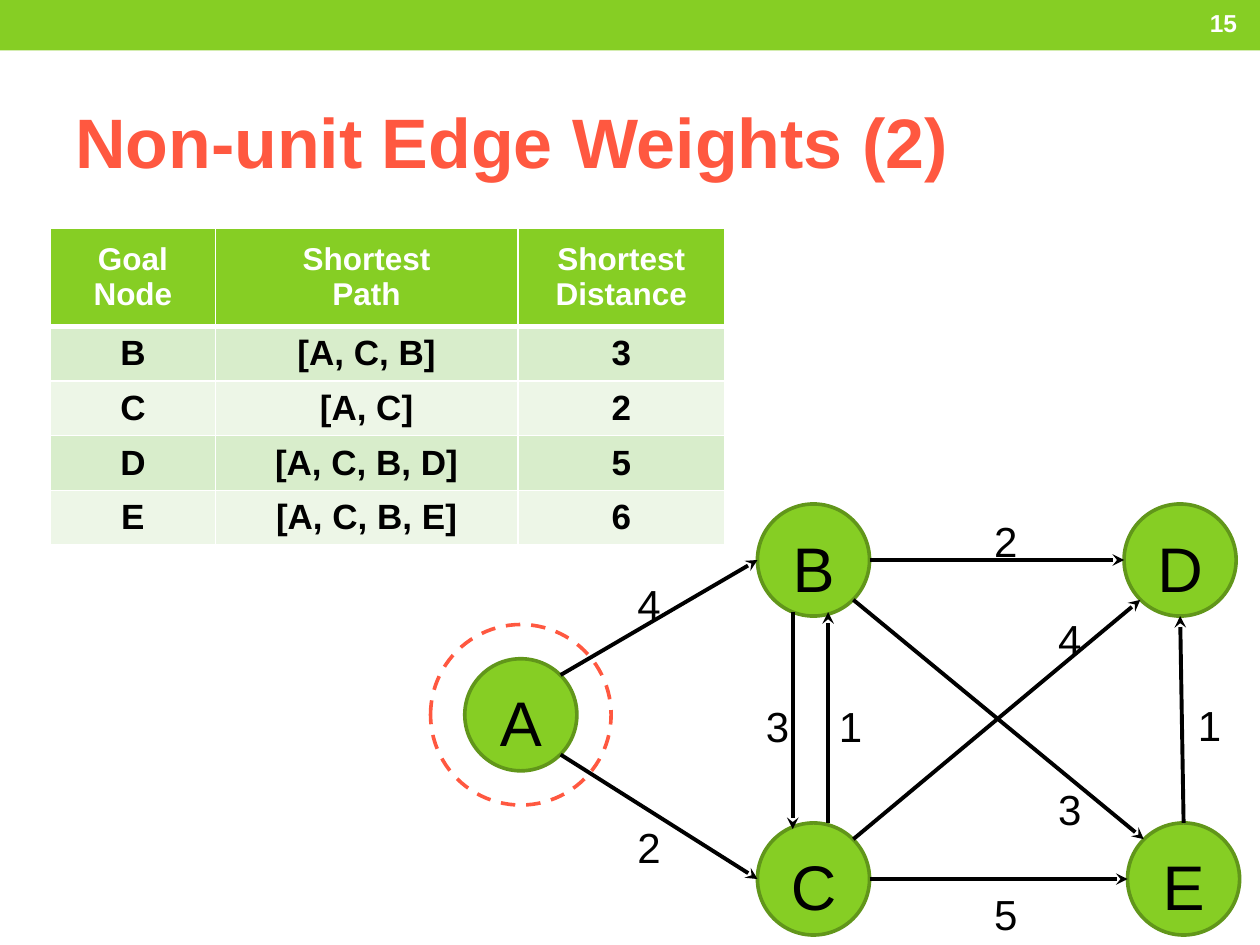
from dataclasses import dataclass
from enum import Enum
from typing import Optional

import pptx
import pptx.dml.color
import pptx.enum.dml
import pptx.enum.shapes
import pptx.enum.text
import pptx.oxml
import pptx.oxml.ns
import pptx.util

Cm = pptx.util.Cm
Pt = pptx.util.Pt
Align = pptx.enum.text.PP_ALIGN
Anchor = pptx.enum.text.MSO_ANCHOR
Shape = pptx.enum.shapes.MSO_SHAPE


@dataclass(frozen=True)
class Theme:
    font: str = "Arial"
    green: str = "86CE24"
    dark_green: str = "61961A"
    bands: tuple[str, str] = ("D8EDCB", "EDF6E7")
    accent: str = "FF5840"
    white: str = "FFFFFF"
    black: str = "000000"
    title_size: float = 40
    number_size: float = 14
    header_size: float = 18
    cell_size: float = 20
    node_size: float = 36
    weight_size: float = 24
    outline: float = 2.08
    edge: float = 2.25


THEME = Theme()
RADIUS = 1.13
HALO_RADIUS = 1.82


class Port(Enum):
    """Points on a node's rim, as multiples of its radius from the centre."""
    N = (0, -1)
    E = (1, 0)
    S = (0, 1)
    W = (-1, 0)
    NE = (0.71, -0.71)
    SE = (0.71, 0.71)
    SW = (-0.71, 0.71)
    NW = (-0.71, -0.71)
    SSW = (-0.37, 0.93)
    NNW = (-0.37, -0.89)
    SSE = (0.26, 0.93)
    NNE = (0.26, -1)


@dataclass(frozen=True)
class Node:
    name: str
    x: float
    y: float

    def rim(self, port: Port) -> tuple[Cm, Cm]:
        dx, dy = port.value
        return Cm(self.x + dx * RADIUS), Cm(self.y + dy * RADIUS)


@dataclass(frozen=True)
class Edge:
    start: Node
    leaves: Port
    end: Node
    enters: Port
    weight: str
    label_x: float
    label_y: float


A = Node("A", 10.5, 14.41)
B = Node("B", 16.4, 11.29)
C = Node("C", 16.4, 17.72)
D = Node("D", 23.79, 11.29)
E = Node("E", 23.86, 17.72)
NODES = (A, B, C, D, E)
EDGES = (
    Edge(A, Port.NE, B, Port.W, "4", 12.6, 11.53),
    Edge(A, Port.SE, C, Port.W, "2", 12.6, 16.43),
    Edge(B, Port.SSW, C, Port.NNW, "3", 15.19, 14),
    Edge(C, Port.NNE, B, Port.SSE, "1", 16.66, 14),
    Edge(B, Port.E, D, Port.W, "2", 19.79, 10.26),
    Edge(B, Port.SE, E, Port.NW, "3", 21.08, 15.67),
    Edge(E, Port.N, D, Port.S, "1", 23.9, 13.97),
    Edge(C, Port.E, E, Port.W, "5", 19.79, 17.78),
    Edge(C, Port.NE, D, Port.SW, "4", 21.08, 12.24),
)
PATH_ROWS = (
    ("Goal Node", "Shortest\nPath", "Shortest Distance"),
    ("B", "[A, C, B]", "3"),
    ("C", "[A, C]", "2"),
    ("D", "[A, C, B, D]", "5"),
    ("E", "[A, C, B, E]", "6"),
)
COLUMN_WIDTHS = (3.32, 6.1, 4.17)
HEADER_HEIGHT, ROW_HEIGHT = 1.98, 1.1


def rgb(value: str) -> pptx.dml.color.RGBColor:
    return pptx.dml.color.RGBColor.from_string(value)


def style_text(frame, size: float, color: str, bold: bool, align) -> None:
    for paragraph in frame.paragraphs:
        paragraph.alignment = align
        paragraph.font.name = THEME.font
        paragraph.font.size = Pt(size)
        paragraph.font.bold = bold
        paragraph.font.color.rgb = rgb(color)


def add_text(slide, text: str, left: float, top: float, width: float, height: float,
             size: float, color: str = THEME.black, bold: bool = False,
             align=Align.LEFT, anchor=Anchor.TOP) -> None:
    box = slide.shapes.add_textbox(Cm(left), Cm(top), Cm(width), Cm(height))
    frame = box.text_frame
    frame.word_wrap = True
    frame.vertical_anchor = anchor
    frame.text = text
    style_text(frame, size, color, bold, align)


def add_circle(slide, node: Node, radius: float, line: str, fill: Optional[str] = None):
    circle = slide.shapes.add_shape(Shape.OVAL, Cm(node.x - radius), Cm(node.y - radius),
                                    Cm(2 * radius), Cm(2 * radius))
    circle.shadow.inherit = False
    if fill:
        circle.fill.solid()
        circle.fill.fore_color.rgb = rgb(fill)
    else:
        circle.fill.background()
    circle.line.color.rgb = rgb(line)
    circle.line.width = Pt(THEME.outline)
    return circle


def add_node(slide, node: Node) -> None:
    add_circle(slide, node, RADIUS, THEME.dark_green, THEME.green)
    add_text(slide, node.name, node.x - 0.74, node.y - 0.75, 1.48, 1.48,
             THEME.node_size, align=Align.CENTER)


def add_edge(slide, edge: Edge) -> None:
    arrow = slide.shapes.add_connector(pptx.enum.shapes.MSO_CONNECTOR.STRAIGHT,
                                       *edge.start.rim(edge.leaves), *edge.end.rim(edge.enters))
    arrow.line.color.rgb = rgb(THEME.black)
    arrow.line.width = Pt(THEME.edge)
    head = pptx.oxml.parse_xml(f'<a:tailEnd {pptx.oxml.ns.nsdecls("a")} type="stealth"/>')
    arrow.line._get_or_add_ln().append(head)
    no_effects = pptx.oxml.parse_xml(f'<a:effectLst {pptx.oxml.ns.nsdecls("a")}/>')
    arrow._element.spPr.append(no_effects)
    add_text(slide, edge.weight, edge.label_x, edge.label_y, 0.69, 1.04, THEME.weight_size)


def add_borders(cell, top: float, bottom: float) -> None:
    """Draw white cell borders; they must precede the cell's fill in the XML."""
    properties = cell._tc.get_or_add_tcPr()
    for side, points in (("L", 1), ("R", 1), ("T", top), ("B", bottom)):
        properties.append(pptx.oxml.parse_xml(
            f'<a:ln{side} {pptx.oxml.ns.nsdecls("a")} w="{Pt(points)}"><a:solidFill>'
            f'<a:srgbClr val="{THEME.white}"/></a:solidFill></a:ln{side}>'))


def add_path_table(slide) -> None:
    height = HEADER_HEIGHT + ROW_HEIGHT * (len(PATH_ROWS) - 1)
    table = slide.shapes.add_table(len(PATH_ROWS), len(COLUMN_WIDTHS), Cm(1.02), Cm(4.6),
                                   Cm(sum(COLUMN_WIDTHS)), Cm(height)).table
    for column, width in zip(table.columns, COLUMN_WIDTHS):
        column.width = Cm(width)
    for index, values in enumerate(PATH_ROWS):
        header = index == 0
        table.rows[index].height = Cm(HEADER_HEIGHT if header else ROW_HEIGHT)
        for cell, value in zip(table.rows[index].cells, values):
            add_borders(cell, top=3 if index == 1 else 1, bottom=3 if header else 1)
            cell.fill.solid()
            cell.fill.fore_color.rgb = rgb(THEME.green if header else THEME.bands[(index - 1) % 2])
            cell.vertical_anchor = Anchor.MIDDLE
            cell.text = value
            style_text(cell.text_frame, THEME.header_size if header else THEME.cell_size,
                       THEME.white if header else THEME.black, True, Align.CENTER)


def add_heading(slide, width: int) -> None:
    band = slide.shapes.add_shape(Shape.RECTANGLE, 0, 0, width, Cm(1.02))
    band.shadow.inherit = False
    band.fill.solid()
    band.fill.fore_color.rgb = rgb(THEME.green)
    band.line.fill.background()
    add_text(slide, "Non-unit Edge Weights (2)", 1.27, 1.47, 22.86, 2.74,
             THEME.title_size, THEME.accent, True, anchor=Anchor.MIDDLE)
    add_text(slide, "15", 22.22, 0, 2.97, 0.91, THEME.number_size, THEME.white, True,
             Align.RIGHT, Anchor.MIDDLE)


def main() -> None:
    deck = pptx.Presentation()
    deck.slide_width, deck.slide_height = Cm(25.4), Cm(19.05)
    slide = deck.slides.add_slide(deck.slide_layouts[6])
    add_heading(slide, deck.slide_width)
    add_path_table(slide)
    for node in NODES:
        add_node(slide, node)
    for edge in EDGES:
        add_edge(slide, edge)
    halo = add_circle(slide, A, HALO_RADIUS, THEME.accent)
    halo.line.dash_style = pptx.enum.dml.MSO_LINE.DASH
    deck.save("out.pptx")


if __name__ == "__main__":
    main()
